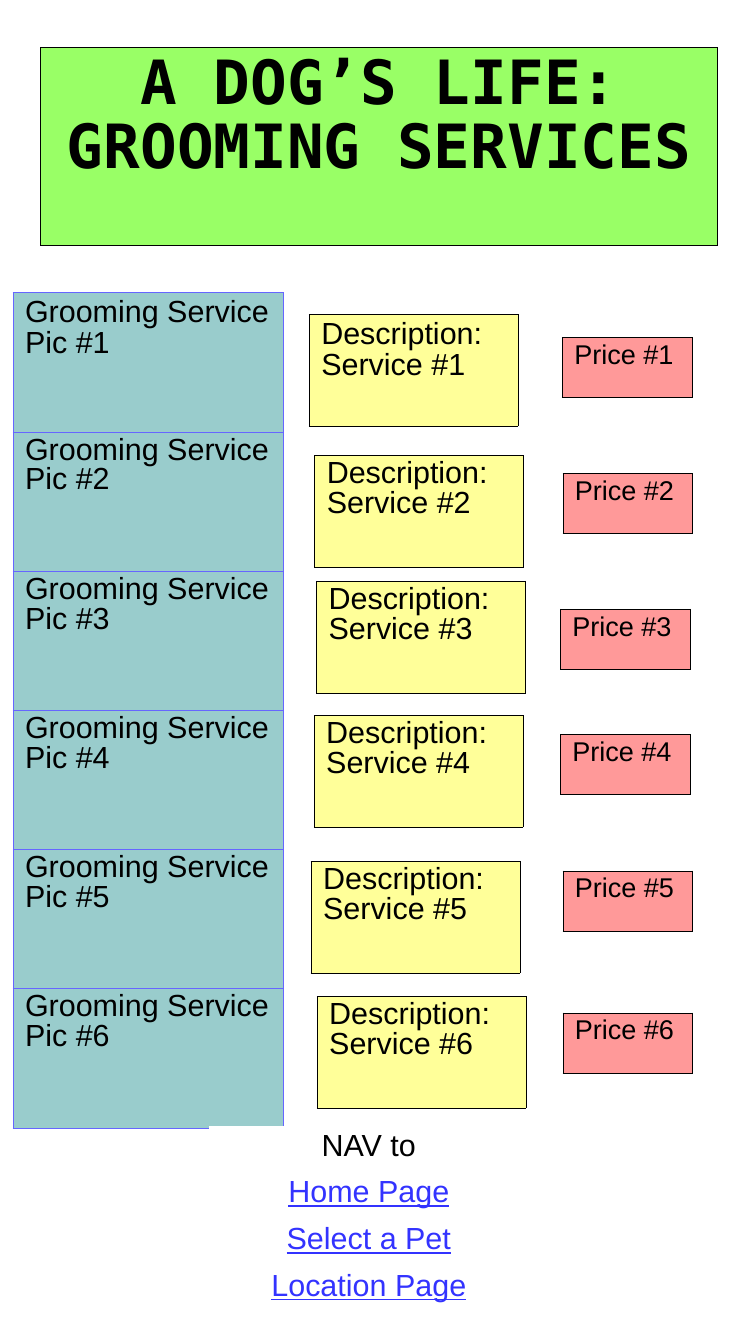
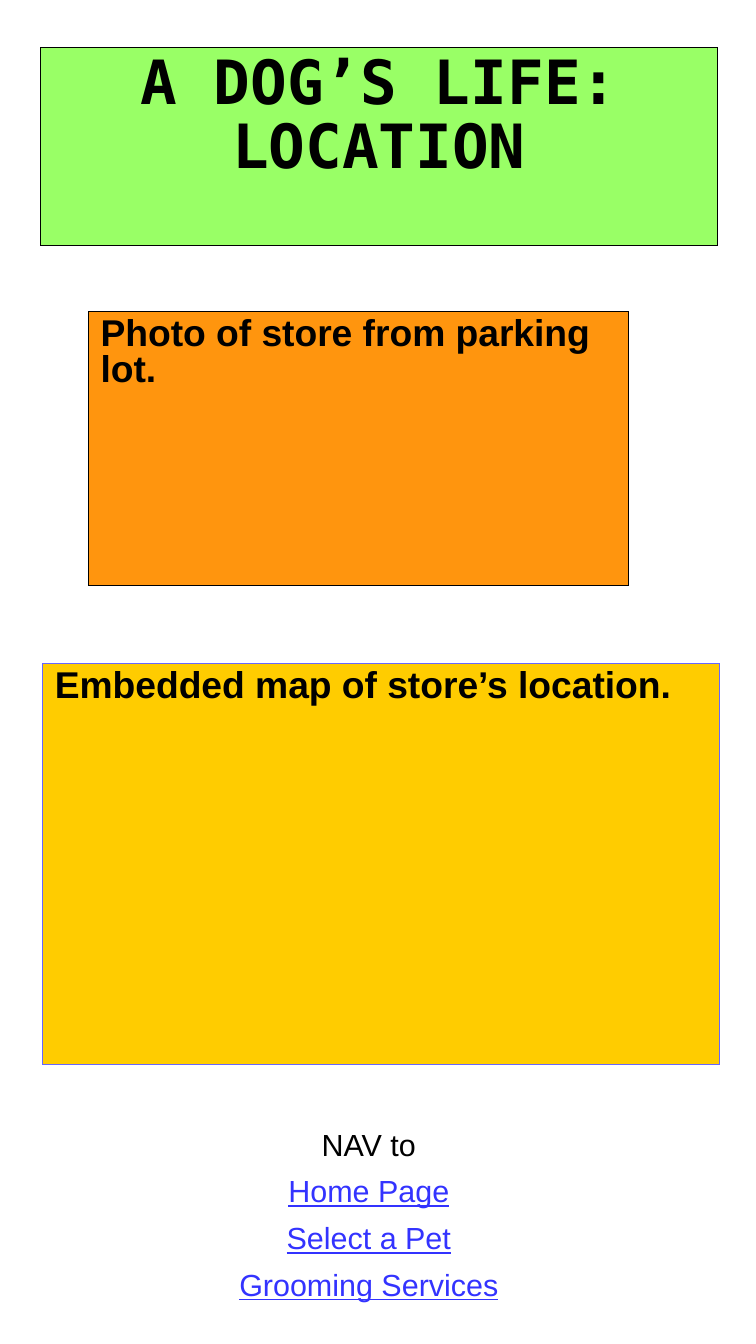
from lxml import etree
from pptx import Presentation, util as u
from pptx.dml.color import RGBColor
from pptx.enum import text
from pptx.oxml.ns import qn

# Grid: the slide is 62 columns by 110.2 rows
COLS, ROWS = 62, 110.2
STEP = u.Inches(0.1)

BLACK = RGBColor(0x00, 0x00, 0x00)
WHITE = RGBColor(0xFF, 0xFF, 0xFF)
GREEN = RGBColor(0x99, 0xFF, 0x66)
TEAL = RGBColor(0x99, 0xCC, 0xCC)
YELLOW = RGBColor(0xFF, 0xFF, 0x99)
PINK = RGBColor(0xFF, 0x99, 0x99)
ORANGE = RGBColor(0xFF, 0x95, 0x0E)
GOLD = RGBColor(0xFF, 0xCC, 0x00)
BLUE = RGBColor(0x66, 0x66, 0xFF)
LINK = RGBColor(0x33, 0x33, 0xFF)

SANS, MONO = "Arial", "DejaVu Sans Mono"
HAIR = 0.28

# Line spacing with the points before and after each paragraph
LOOSE = dict(lead=0.87, gap=0.3)
TIGHT = dict(lead=0.81, gap=0.6)
HEAD = dict(lead=0.89, gap=0.4)

# Left and top of each service's description and price
NOTES = [(25.35, 25.8), (25.8, 37.35), (25.95, 47.65),
         (25.75, 58.65), (25.5, 70.65), (26, 81.7)]
PRICES = [(46.1, 27.65), (46.15, 38.8), (45.95, 49.95),
          (45.95, 60.2), (46.15, 71.4), (46.15, 83.05)]


def grid(n):
    return u.Emu(round(n * STEP))


def write(frame, words, size=18, font=SANS, color=BLACK, bold=False,
          line=False, mid=False, lead=0.87, gap=0.3):
    """Fill a text frame, one paragraph for each line of words."""
    for i, part in enumerate(words.split("\n")):
        para = frame.add_paragraph() if i else frame.paragraphs[0]
        para.alignment = text.PP_ALIGN.CENTER if mid else text.PP_ALIGN.LEFT
        para.line_spacing = lead
        para.space_before = u.Pt(gap if i else 0)
        para.space_after = u.Pt(gap)
        run = para.add_run()
        run.text = part
        run.font.name, run.font.size = font, u.Pt(size)
        run.font.bold, run.font.underline = bold, line
        run.font.color.rgb = color


def border(cell, color, width):
    """Draw all four sides of a table cell."""
    props = cell._tc.get_or_add_tcPr()
    for side in ("lnL", "lnR", "lnT", "lnB"):
        edge = etree.SubElement(props, qn("a:" + side), w=str(u.Pt(width)))
        fill = etree.SubElement(edge, qn("a:solidFill"))
        etree.SubElement(fill, qn("a:srgbClr"), val=str(color))


def table(slide, box, items, fill, edge=BLACK, width=HAIR):
    """Add a one-column table; each item is (words, format)."""
    left, top, wide, high = map(grid, box)
    tab = slide.shapes.add_table(len(items), 1, left, top, wide, high).table
    tab.first_row = tab.horz_banding = False
    for row, (words, form) in enumerate(items):
        cell = tab.cell(row, 0)
        border(cell, edge, width)
        cell.fill.solid()
        cell.fill.fore_color.rgb = fill
        write(cell.text_frame, words, **form)


def page(deck, name, last):
    """Start a slide with its title band and its footer of links."""
    slide = deck.slides.add_slide(deck.slide_layouts[6])
    head = dict(size=36, font=MONO, bold=True, mid=True, **HEAD)
    table(slide, (3.3, 3.9, 55.55, 16.2),
          [("A DOG’S LIFE:\n" + name, head)], GREEN, width=0.17)
    return slide


def nav(slide, last):
    """Add the footer with links to the other pages."""
    link = dict(color=LINK, line=True, mid=True)
    items = [("NAV to", dict(mid=True))]
    items += [(name, link) for name in ("Home Page", "Select a Pet", last)]
    table(slide, (17.15, 92.35, 26.2, 15.3), items, WHITE, WHITE, 0.06)


def services(deck):
    slide = page(deck, "GROOMING SERVICES", "Location Page")
    forms = [LOOSE] + [TIGHT] * 5
    pics = [(f"Grooming Service\nPic #{n}", form)
            for n, form in enumerate(forms, 1)]
    table(slide, (1.05, 24, 22.2, 68.5), pics, TEAL, BLUE)
    for n, ((left, top), form) in enumerate(zip(NOTES, forms), 1):
        note = (f"Description:\nService #{n}", form)
        table(slide, (left, top, 17.15, 9.15), [note], YELLOW)
    for n, (left, top) in enumerate(PRICES, 1):
        table(slide, (left, top, 10.65, 4.95), [(f"Price #{n}", dict(size=16))], PINK)
    nav(slide, "Location Page")


def place(deck):
    slide = page(deck, "LOCATION", "Grooming Services")
    bold = dict(size=22, bold=True)
    table(slide, (7.25, 25.55, 44.25, 22.45),
          [("Photo of store from parking lot.", bold)], ORANGE)
    table(slide, (3.5, 54.4, 55.5, 32.9),
          [("Embedded map of store’s location.", bold)], GOLD, BLUE)
    nav(slide, "Grooming Services")


def main():
    deck = Presentation()
    deck.slide_width, deck.slide_height = grid(COLS), grid(ROWS)
    services(deck)
    place(deck)
    deck.save("out.pptx")


if __name__ == "__main__":
    main()
